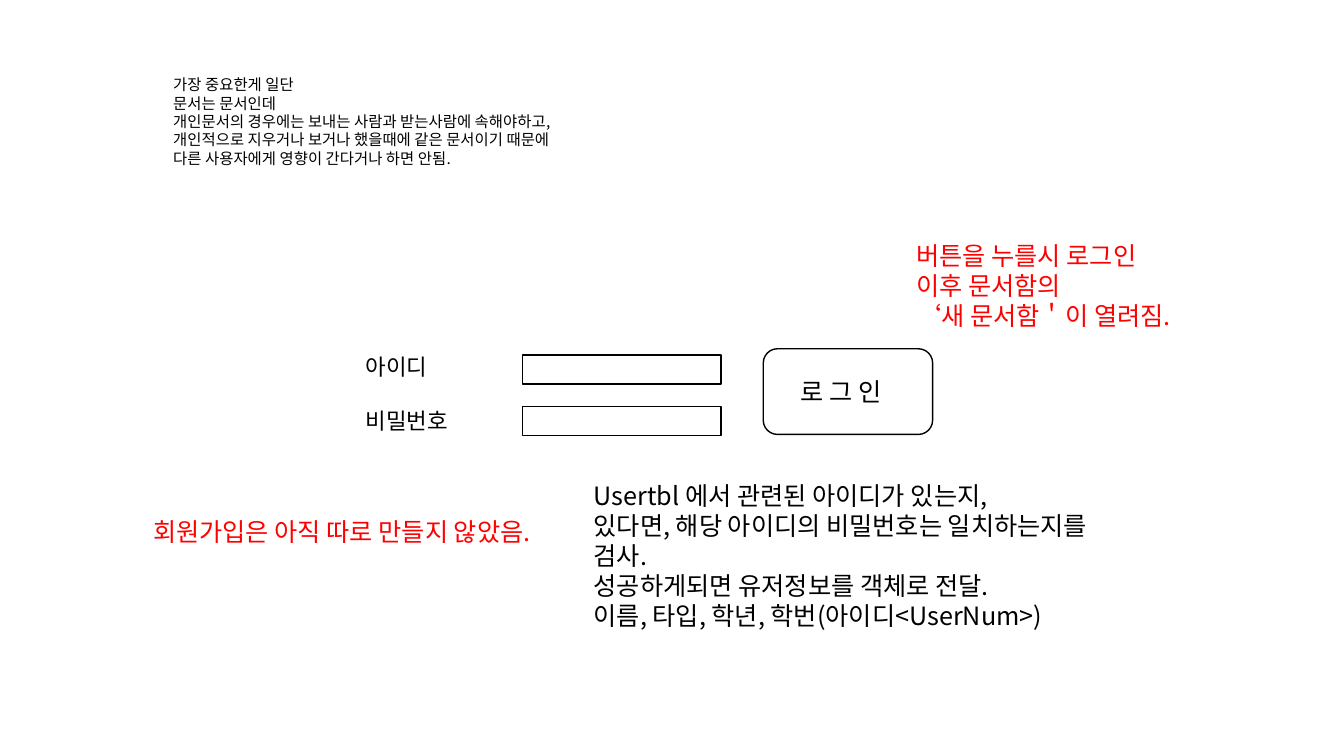
from pptx import Presentation
from pptx.dml.color import RGBColor
from pptx.enum import shapes, text
from pptx.oxml import ns
from pptx.util import Inches, Pt

BLACK = RGBColor(0x00, 0x00, 0x00)
RED = RGBColor(0xFF, 0x00, 0x00)
WHITE = RGBColor(0xFF, 0xFF, 0xFF)
FONT = "Noto Sans CJK KR"
LINE_HEIGHT = 1.19


def add_text(s, box, lines, size=18, color=BLACK):
    """Top-anchored text box with one paragraph per line."""
    tf = s.shapes.add_textbox(*map(Inches, box)).text_frame
    frame_format = {"word_wrap": True, "vertical_anchor": text.MSO_ANCHOR.TOP}
    for name, value in frame_format.items():
        setattr(tf, name, value)
    font_format = {"size": Pt(size), "name": FONT}
    for i, line in enumerate(lines):
        p = tf.paragraphs[0] if i == 0 else tf.add_paragraph()
        p.line_spacing = Pt(round(size * LINE_HEIGHT, 1))
        r = p.add_run()
        r.text = line
        for name, value in font_format.items():
            setattr(r.font, name, value)
        r.font.color.rgb = color
        # East Asian typeface for the Hangul
        ea = r.font._element.makeelement(ns.qn("a:ea"), {"typeface": FONT})
        r.font._element.append(ea)


def add_outline(s, kind, box):
    """White shape with a thin black outline."""
    sp = s.shapes.add_shape(kind, *map(Inches, box))
    sp.shadow.inherit = False
    sp.fill.solid()
    sp.fill.fore_color.rgb = WHITE
    sp.line.color.rgb = BLACK
    sp.line.width = Pt(1)


def login_form(s, left, top):
    """Labelled input fields stacked at an equal pitch."""
    for i, label in enumerate(["아이디", "비밀번호"]):
        add_outline(s, shapes.MSO_SHAPE.RECTANGLE,
                    (left + 1.65, top + 0.06 + i * 0.51, 1.97, 0.29))
        add_text(s, (left, top + i * 0.53, 2.39, 0.37), [label], size=16)


def login_button(s, left, top, width, height):
    """Rounded button with its caption."""
    add_outline(s, shapes.MSO_SHAPE.ROUNDED_RECTANGLE, (left, top, width, height))
    add_text(s, (left + 0.27, top + 0.23, width - 0.53, 0.4), ["로 그 인"])


def notes_around_form(s):
    """Remarks on the documents, the button, sign-up and the login check."""
    add_text(s, (8.99, 2.34, 2.69, 1.01),
             ["버튼을 누를시 로그인", "이후 문서함의", "‘새 문서함＇이 열려짐."],
             color=RED)
    add_text(s, (1.42, 5.08, 4.37, 0.4),
             ["회원가입은 아직 따로 만들지 않았음."], color=RED)
    add_text(s, (5.79, 4.72, 5.1, 1.62),
             ["Usertbl 에서 관련된 아이디가 있는지,",
              "있다면, 해당 아이디의 비밀번호는 일치하는지를 검사.",
              "성공하게되면 유저정보를 객체로 전달.",
              "이름, 타입, 학년, 학번(아이디<UserNum>)"])
    add_text(s, (1.62, 0.7, 4.54, 1.21),
             ["가장 중요한게 일단",
              "문서는 문서인데",
              "개인문서의 경우에는 보내는 사람과 받는사람에 속해야하고,",
              "개인적으로 지우거나 보거나 했을때에 같은 문서이기 때문에",
              "다른 사용자에게 영향이 간다거나 하면 안됨."], size=11)


prs = Presentation()
prs.slide_width, prs.slide_height = Inches(13.33), Inches(7.5)
s = prs.slides.add_slide(prs.slide_layouts[6])

login_form(s, 3.53, 3.46)
login_button(s, 7.57, 3.46, 1.68, 0.85)
notes_around_form(s)

prs.save("out.pptx")
